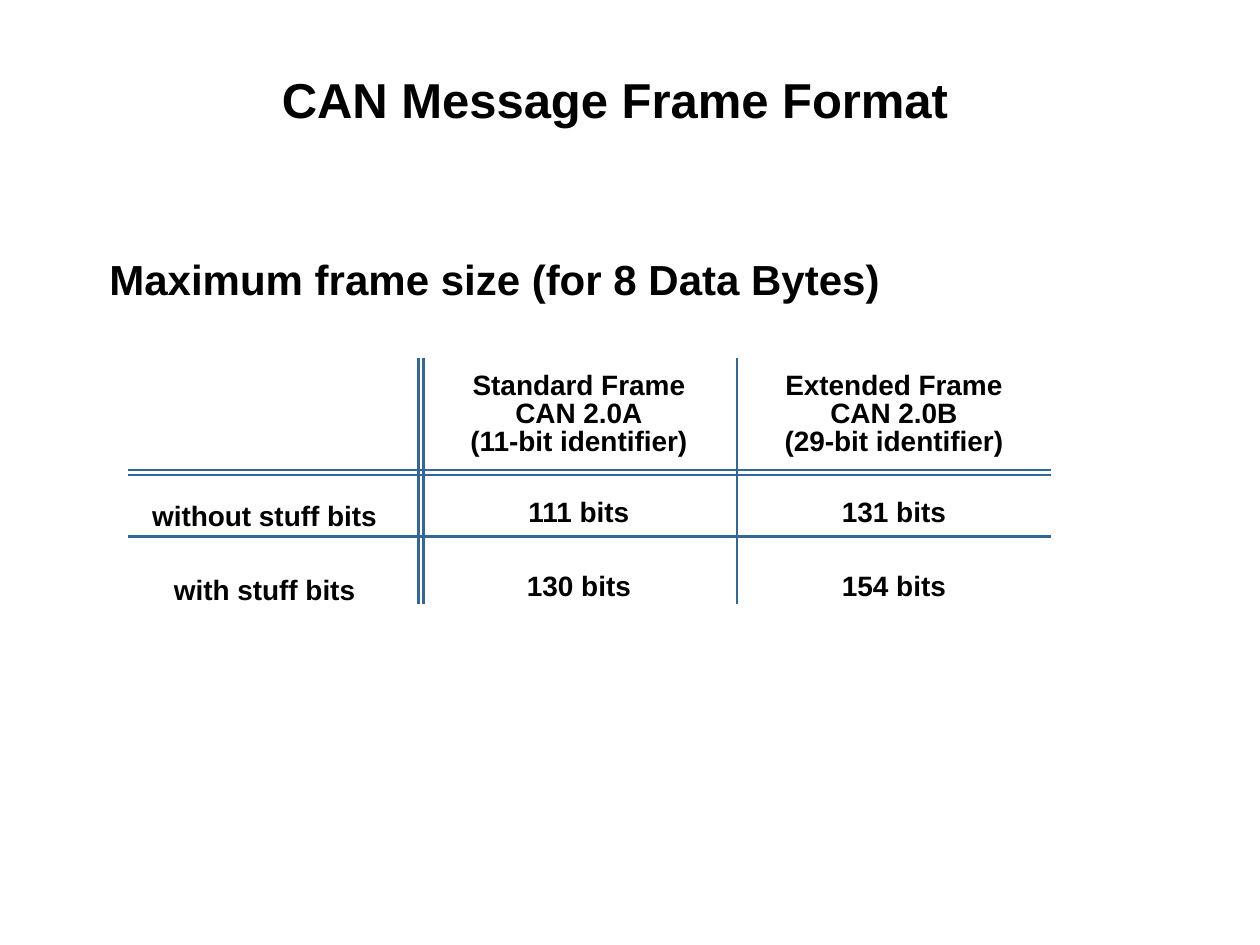
from lxml import etree
from pptx import Presentation
from pptx.dml.color import RGBColor
from pptx.enum.shapes import MSO_CONNECTOR
from pptx.enum.text import MSO_ANCHOR, PP_ALIGN
from pptx.oxml.ns import qn
from pptx.util import Inches, Pt

STRAIGHT = MSO_CONNECTOR.STRAIGHT
MIDDLE, BOTTOM = MSO_ANCHOR.MIDDLE, MSO_ANCHOR.BOTTOM
LEFT, CENTER = PP_ALIGN.LEFT, PP_ALIGN.CENTER
COLORS = {"text": "000000", "rule": "336699"}
FONT = "Arial"

COLUMN_EDGES = [1.02, 3.34, 5.85, 8.34]
ROW_EDGES = [2.84, 3.75, 4.26, 4.81]
RULE_BOTTOM = 4.79
DOUBLE_GAP = 0.04
LABEL_INSET = 0.16
LABEL_DROP = 0.03
ROW_INSETS = [0, 0.07, 0.03]
FRAME_SIZES = [
    ["", "Standard Frame\vCAN 2.0A\v(11-bit identifier)",
     "Extended Frame\vCAN 2.0B\v(29-bit identifier)"],
    ["without stuff bits", "111 bits", "131 bits"],
    ["with stuff bits", "130 bits", "154 bits"],
]


def write(frame, text, size, align, spacing):
    frame.text = text
    frame.word_wrap = True
    paragraph = frame.paragraphs[0]
    paragraph.alignment = align
    paragraph.line_spacing = spacing
    paragraph.font.size = Pt(size)
    for run in paragraph.runs:
        run.font.name = FONT
        run.font.size = Pt(size)
        run.font.bold = True
        run.font.color.rgb = RGBColor.from_string(COLORS["text"])


def rule(x1, y1, x2, y2):
    line = slide.shapes.add_connector(
        STRAIGHT, Inches(x1), Inches(y1), Inches(x2), Inches(y2))
    line.line.color.rgb = RGBColor.from_string(COLORS["rule"])
    line.line.width = Pt(1.5)
    etree.SubElement(line._element.spPr, qn("a:effectLst"))


deck = Presentation()
deck.slide_width, deck.slide_height = Inches(10), Inches(7.5)
slide = deck.slides.add_slide(deck.slide_layouts[5])

title = slide.shapes.title
title.left, title.top = Inches(0.42), Inches(0.5)
title.width, title.height = Inches(8.92), Inches(0.57)
write(title.text_frame, "CAN Message Frame Format", 28, CENTER, 1.0)
title.text_frame.vertical_anchor = MIDDLE

subtitle = slide.shapes.add_textbox(
    Inches(0.77), Inches(2.01), Inches(8.56), Inches(0.46))
write(subtitle.text_frame, "Maximum frame size (for 8 Data Bytes)", 24, LEFT, 0.9)

left, right = COLUMN_EDGES[0], COLUMN_EDGES[-1]
top, bottom = ROW_EDGES[0], ROW_EDGES[-1]
sizes = slide.shapes.add_table(
    len(FRAME_SIZES), len(FRAME_SIZES[0]), Inches(left), Inches(top),
    Inches(right - left), Inches(bottom - top)).table
sizes.first_row = sizes.horz_banding = False
for column, start, end in zip(sizes.columns, COLUMN_EDGES, COLUMN_EDGES[1:]):
    column.width = Inches(end - start)
for row, start, end in zip(sizes.rows, ROW_EDGES, ROW_EDGES[1:]):
    row.height = Inches(end - start)

for r, entries in enumerate(FRAME_SIZES):
    for c, entry in enumerate(entries):
        cell = sizes.cell(r, c)
        cell.fill.background()
        is_label = c == 0
        cell.margin_left = cell.margin_top = 0
        cell.margin_right = Inches(LABEL_INSET if is_label else 0)
        cell.margin_bottom = Inches(
            max(ROW_INSETS[r] - LABEL_DROP * is_label, 0))
        cell.vertical_anchor = BOTTOM if r else MIDDLE
        write(cell.text_frame, entry, 16, CENTER, 0.9)

header_y, divider_y = ROW_EDGES[1:3]
label_x, divider_x = COLUMN_EDGES[1:3]
for y in (header_y - DOUBLE_GAP / 2, header_y + DOUBLE_GAP / 2, divider_y):
    rule(left, y, right, y)
for x in (label_x - DOUBLE_GAP / 2, label_x + DOUBLE_GAP / 2, divider_x):
    rule(x, top, x, RULE_BOTTOM)

deck.save("out.pptx")
